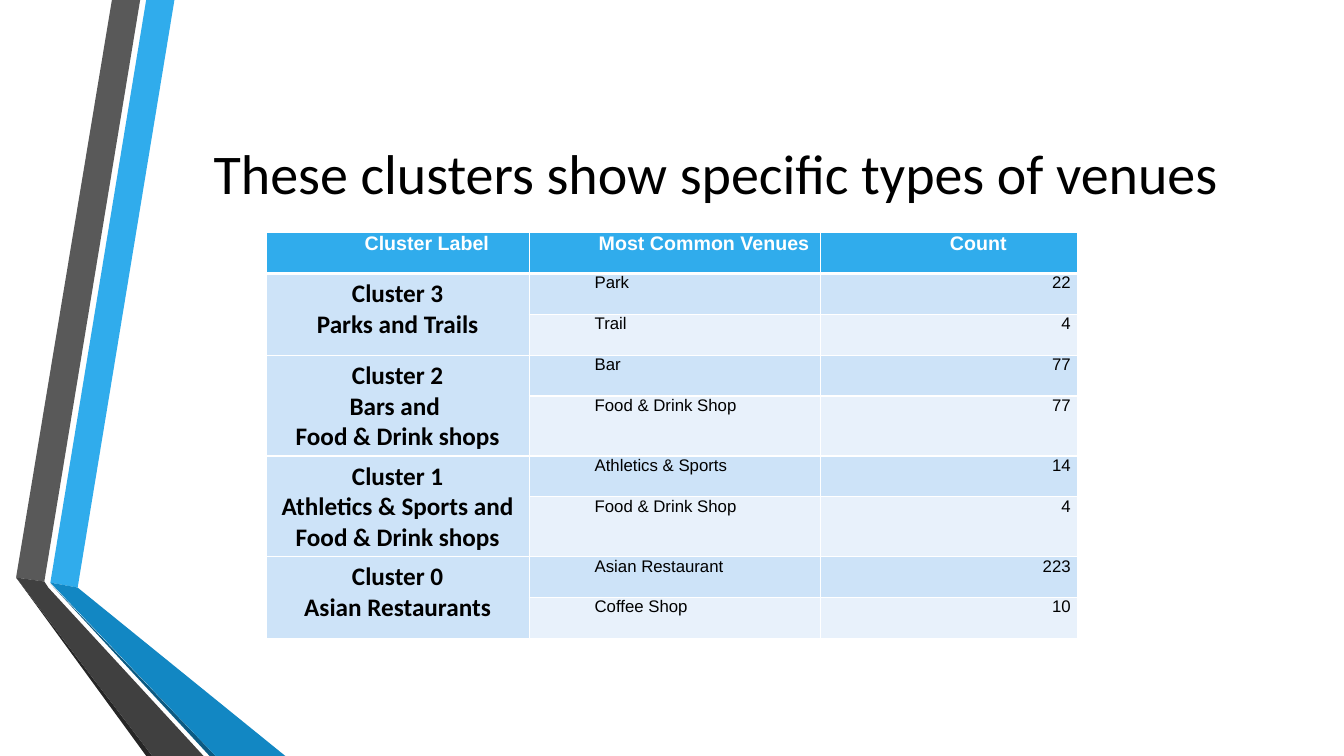
from dataclasses import dataclass

from lxml.etree import SubElement
from pptx import Presentation
from pptx.dml.color import RGBColor as RGB
from pptx.enum.text import MSO_ANCHOR as Anchor, PP_ALIGN as Align
from pptx.oxml.ns import qn
from pptx.util import Emu, Inches, Pt

COLORS = {
    "sky": "30ACEC", "blue": "1287C3", "navy": "0C5A82",
    "gray": "595959", "dark": "404040", "coal": "262626",
    "band": "CDE3F8", "pale": "E8F1FB", "white": "FFFFFF", "black": "000000",
}
SLIDE_W, SLIDE_H = Inches(13.333), Inches(7.5)


@dataclass(frozen=True)
class Ribbon:
    color: str
    points: tuple[tuple[float, float], ...]  # percent of slide width and height


@dataclass(frozen=True)
class Style:
    font: str
    size: int
    bold: bool = False
    color: str = "black"
    align: Align = Align.LEFT
    indented: bool = True


@dataclass(frozen=True)
class Cluster:
    label: str
    lines: tuple[str, ...]
    venues: tuple[tuple[str, int], ...]


RIBBONS = (
    Ribbon("sky", ((3.75, 77.07), (5.78, 77.73), (12.98, 0), (10.88, 0))),
    Ribbon("gray", ((10.43, 0), (8.33, 0), (1.2, 76.4), (3.3, 76.93))),
    Ribbon("coal", ((1.2, 76.4), (10.88, 100), (11.33, 100))),
    Ribbon("navy", ((3.75, 77.2), (15.6, 100), (16.05, 100))),
    Ribbon("blue", ((3.75, 77.07), (16.05, 100), (21.23, 100), (5.78, 77.73))),
    Ribbon("dark", ((15.15, 100), (3.6, 77.73), (3.3, 76.93), (1.2, 76.4), (11.33, 100))),
)

TITLE = Style("Calibri", 40, align=Align.CENTER, indented=False)
HEADER = Style("Arial", 14, True, "white", Align.CENTER)
LABEL = Style("Calibri", 18, True, align=Align.CENTER, indented=False)
VENUE = Style("Arial", 12)
COUNT = Style("Arial", 12, align=Align.RIGHT)

HEADINGS = ("Cluster Label", "Most Common Venues", "Count")
COLUMN_SHARES = (19.58, 21.68, 19.13)
ROW_SHARE = 5.4
CLUSTERS = (
    Cluster("Cluster 3", ("Parks and Trails",), (("Park", 22), ("Trail", 4))),
    Cluster("Cluster 2", ("Bars and ", "Food & Drink shops"),
            (("Bar", 77), ("Food & Drink Shop", 77))),
    Cluster("Cluster 1", ("Athletics & Sports and Food & Drink shops",),
            (("Athletics & Sports", 14), ("Food & Drink Shop", 4))),
    Cluster("Cluster 0", ("Asian Restaurants",),
            (("Asian Restaurant", 223), ("Coffee Shop", 10))),
)


def across(share: float) -> Emu:
    return Emu(round(SLIDE_W * share / 100))


def down(share: float) -> Emu:
    return Emu(round(SLIDE_H * share / 100))


def rgb(name: str) -> RGB:
    return RGB.from_string(COLORS[name])


def draw_ribbon(s, ribbon: Ribbon) -> None:
    pts = [(across(x), down(y)) for x, y in ribbon.points]
    fb = s.shapes.build_freeform(*pts[0])
    fb.add_line_segments(pts[1:], close=True)
    sp = fb.convert_to_shape()
    sp.shadow.inherit = False
    sp.fill.solid()
    sp.fill.fore_color.rgb = rgb(ribbon.color)
    sp.line.fill.background()


def write(p, lines: tuple[str, ...], style: Style) -> None:
    p.alignment = style.align
    if style.indented:
        p._p.get_or_add_pPr().set("marL", str(across(4.35)))
    for i, line in enumerate(lines):
        if i:
            p.add_line_break()
        r = p.add_run()
        r.text = line
        r.font.name, r.font.size, r.font.bold = style.font, Pt(style.size), style.bold
        r.font.color.rgb = rgb(style.color)


def paint(cell, fill: str, top: int = 1, bottom: int = 1) -> None:
    tcPr = cell._tc.get_or_add_tcPr()
    for side, width in (("L", 1), ("R", 1), ("T", top), ("B", bottom)):
        ln = SubElement(tcPr, qn(f"a:ln{side}"), w=str(Pt(width)))
        SubElement(SubElement(ln, qn("a:solidFill")), qn("a:srgbClr"), val=COLORS["white"])
    cell.fill.solid()
    cell.fill.fore_color.rgb = rgb(fill)


def fill_cell(cell, text: str, style: Style) -> None:
    cell.margin_left = cell.margin_right = across(0.52)
    cell.margin_top = cell.margin_bottom = 0
    write(cell.text_frame.paragraphs[0], (text,), style)


def draw_table(s) -> None:
    n = 1 + sum(len(c.venues) for c in CLUSTERS)
    tbl = s.shapes.add_table(n, len(HEADINGS), across(19.8), down(30.8),
                             across(sum(COLUMN_SHARES)), down(n * ROW_SHARE)).table
    tbl.first_row = tbl.horz_banding = False
    for col, share in zip(tbl.columns, COLUMN_SHARES):
        col.width = across(share)
    for row in tbl.rows:
        row.height = down(ROW_SHARE)

    # Header row
    for c, heading in enumerate(HEADINGS):
        paint(tbl.cell(0, c), "sky", bottom=3)
        fill_cell(tbl.cell(0, c), heading, HEADER)

    # Cluster rows
    first = 1
    for cluster in CLUSTERS:
        for i, (venue, count) in enumerate(cluster.venues):
            row = first + i
            fill = "pale" if i % 2 else "band"
            for c in range(len(HEADINGS)):
                paint(tbl.cell(row, c), fill if c else "band", top=3 if row == 1 else 1)
            fill_cell(tbl.cell(row, 1), venue, VENUE)
            fill_cell(tbl.cell(row, 2), str(count), COUNT)
        label = tbl.cell(first, 0)
        label.merge(tbl.cell(row, 0))
        write(label.text_frame.paragraphs[0], (cluster.label,), LABEL)
        write(label.text_frame.add_paragraph(), cluster.lines, LABEL)
        first += len(cluster.venues)


def main() -> None:
    prs = Presentation()
    prs.slide_width, prs.slide_height = SLIDE_W, SLIDE_H
    s = prs.slides.add_slide(prs.slide_layouts[6])

    # Ribbons on the left
    for ribbon in RIBBONS:
        draw_ribbon(s, ribbon)

    # Title
    tf = s.shapes.add_textbox(across(12.15), down(10), across(82.2), down(25.6)).text_frame
    tf.word_wrap = True
    tf.vertical_anchor = Anchor.MIDDLE
    write(tf.paragraphs[0], ("These clusters show specific types of venues",), TITLE)

    # Venue table
    draw_table(s)
    prs.save("out.pptx")


if __name__ == "__main__":
    main()
